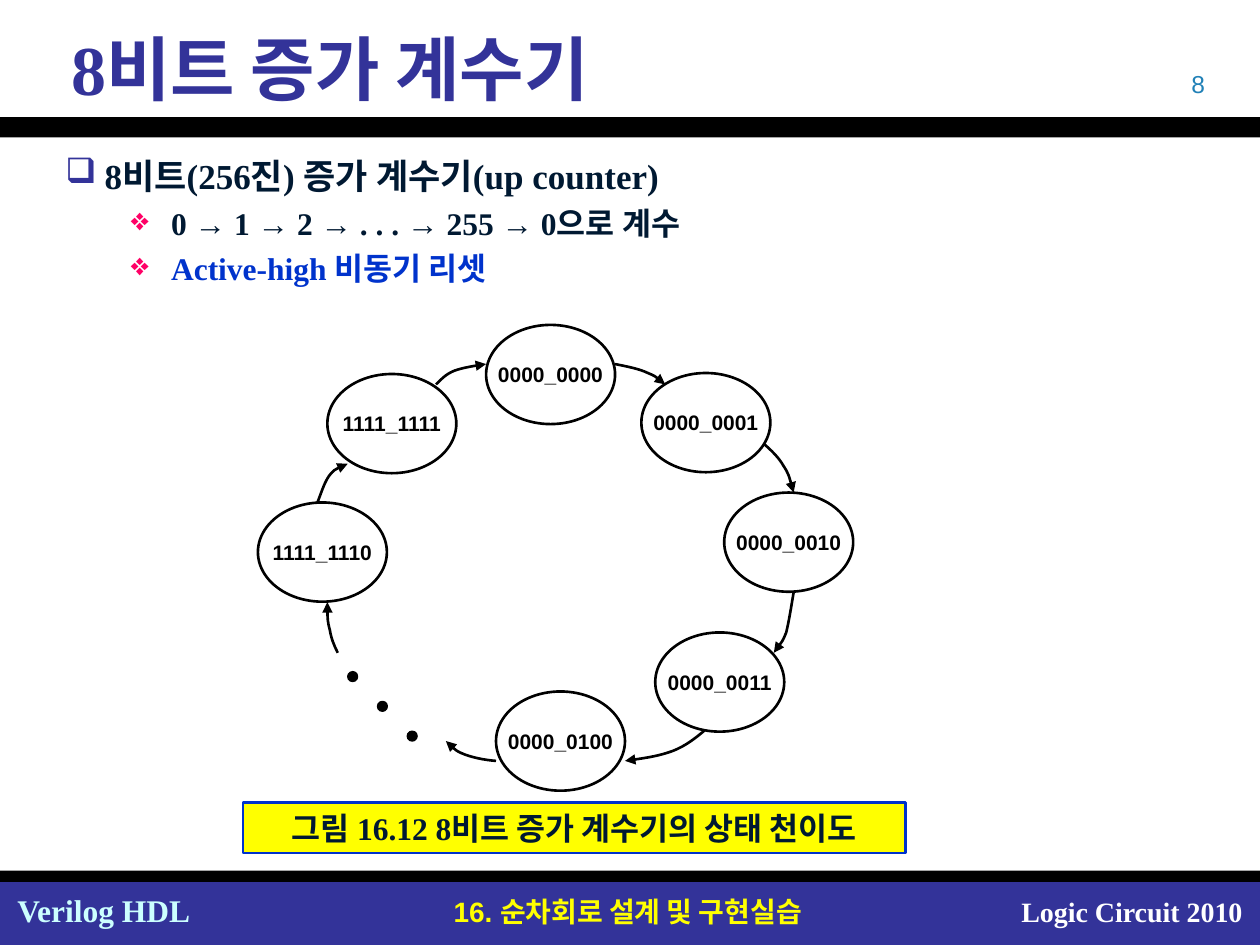
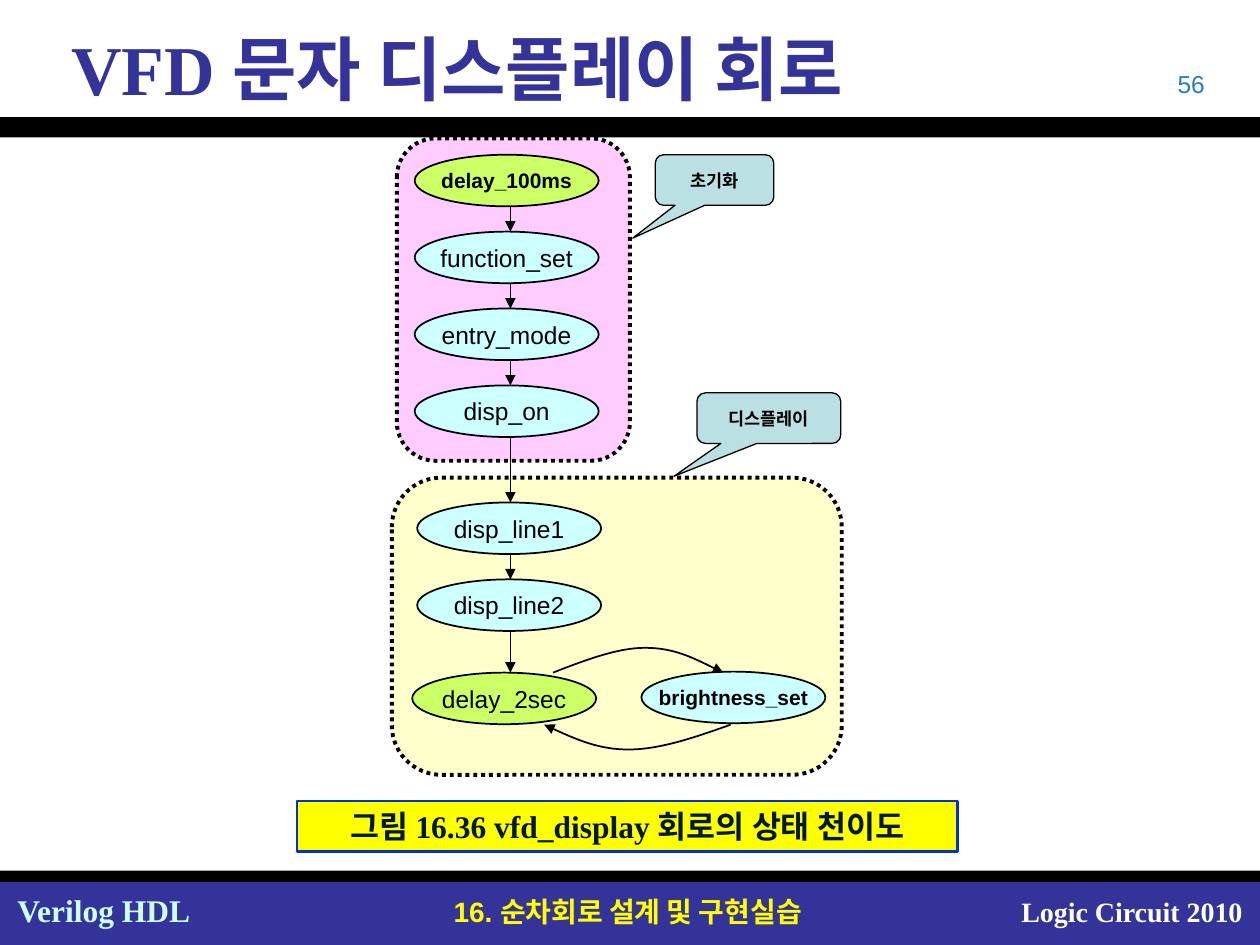
"""Build two lecture slides with state diagrams of an 8-bit counter and a VFD display circuit."""
from lxml import etree
from pptx import Presentation
from pptx.dml.color import RGBColor
from pptx.enum.dml import MSO_LINE
from pptx.enum.shapes import MSO_CONNECTOR, MSO_SHAPE
from pptx.enum.text import MSO_ANCHOR, PP_ALIGN
from pptx.oxml.ns import qn
from pptx.util import Cm, Pt

RECT, OVAL, ROUNDED = MSO_SHAPE.RECTANGLE, MSO_SHAPE.OVAL, MSO_SHAPE.ROUNDED_RECTANGLE
CALLOUT = MSO_SHAPE.ROUNDED_RECTANGULAR_CALLOUT
STRAIGHT = MSO_CONNECTOR.STRAIGHT
DOTTED = MSO_LINE.ROUND_DOT
TOP, MIDDLE = MSO_ANCHOR.TOP, MSO_ANCHOR.MIDDLE
LEFT, CENTER, RIGHT = PP_ALIGN.LEFT, PP_ALIGN.CENTER, PP_ALIGN.RIGHT
color = RGBColor.from_string

SERIF, SANS, KOREAN = "Times New Roman", "Arial", "Noto Sans CJK KR"
BLACK, NAVY, BLUE, INK = "000000", "333399", "0033CC", "001932"
YELLOW, CYAN, LIME, WHITE = "FFFF00", "CCFFFF", "CCFF66", "FFFFFF"

TITLE = {"size": Pt(40), "name": SERIF, "bold": True}
PAGE = {"size": Pt(14), "name": SANS, "bold": False}
CHAPTER = {"size": Pt(16), "name": SANS, "bold": True}
COURSE = {"size": Pt(16), "name": SERIF, "bold": True}
HEADING = {"size": Pt(20), "name": SERIF, "bold": True}
CAPTION = {"size": Pt(18), "name": SERIF, "bold": True}
STATE = {"size": Pt(12), "name": SANS, "bold": True}
STEP = {"size": Pt(14), "name": SANS, "bold": False}
NOTE = {"size": Pt(10), "name": KOREAN, "bold": True}


def draw(slide, kind, box, fill=None, line=None, width=0.75, lines=(),
         ink=BLACK, style=STATE, align=CENTER, anchor=MIDDLE, wrap=True):
    """Add a preset shape, or a text box when kind is None, with its text."""
    box = [Cm(length) for length in box]
    if kind is None:
        shape = slide.shapes.add_textbox(*box)
    else:
        shape = slide.shapes.add_shape(kind, *box)
        shape.shadow.inherit = False
        if fill:
            shape.fill.solid()
            shape.fill.fore_color.rgb = color(fill)
        else:
            shape.fill.background()
        if line:
            shape.line.color.rgb = color(line)
            shape.line.width = Pt(width)
        else:
            shape.line.fill.background()
    frame = shape.text_frame
    frame.word_wrap, frame.vertical_anchor = wrap, anchor
    for index, text in enumerate(lines):
        paragraph = frame.paragraphs[0] if index == 0 else frame.add_paragraph()
        paragraph.alignment = align
        run = paragraph.add_run()
        run.text = text
        for attribute, value in style.items():
            setattr(run.font, attribute, value)
        run.font.color.rgb = color(ink)
        etree.SubElement(run.font._element, qn("a:ea"), typeface=KOREAN)
    return shape


def arrow(slide, points, width):
    """Add an arrow: straight through two points, or a chain of Bezier curves."""
    points = [(Cm(x), Cm(y)) for x, y in points]
    if len(points) == 2:
        shape = slide.shapes.add_connector(STRAIGHT, *points[0], *points[1])
    else:
        builder = slide.shapes.build_freeform(*points[0])
        builder.add_line_segments(points[1:], close=False)
        shape = builder.convert_to_shape()
        shape.fill.background()
        path = shape._element.find(".//" + qn("a:path"))
        corners = path.findall(qn("a:lnTo"))
        for start in range(0, len(corners), 3):
            bezier = etree.SubElement(path, qn("a:cubicBezTo"))
            for corner in corners[start:start + 3]:
                bezier.append(corner[0])
                path.remove(corner)
    shape.line.color.rgb = color(BLACK)
    shape.line.width = Pt(width)
    properties = shape._element.spPr
    etree.SubElement(properties.find(qn("a:ln")), qn("a:tailEnd"), type="triangle")
    etree.SubElement(properties, qn("a:effectLst"))


deck = Presentation()
deck.slide_width, deck.slide_height = Cm(25.4), Cm(19.05)

pages = []
for title, number, caption, caption_box in [
    ("8비트 증가 계수기", "8", "그림 16.12 8비트 증가 계수기의 상태 천이도", (4.9, 16.18, 13.36, 1.02)),
    ("VFD 문자 디스플레이 회로", "56", "그림 16.36 vfd_display 회로의 상태 천이도", (5.99, 16.15, 13.31, 1.02)),
]:
    page = deck.slides.add_slide(deck.slide_layouts[6])
    pages.append(page)
    for top, height, fill in [(17.78, 1.27, NAVY), (2.36, 0.41, BLACK), (17.55, 0.23, BLACK)]:
        draw(page, RECT, (0, top, 25.4, height), fill)
    for text, box, ink, style, align, anchor in [
        ("16. 순차회로 설계 및 구현실습", (7.7, 17.91, 9.91, 0.94), YELLOW, CHAPTER, CENTER, TOP),
        ("Logic Circuit 2010", (18.62, 17.91, 6.68, 0.94), WHITE, COURSE, RIGHT, TOP),
        ("Verilog HDL", (0.1, 17.83, 4.01, 1.02), CYAN, CAPTION, LEFT, TOP),
        (number, (18.62, 1.27, 5.92, 0.84), "2181B7", PAGE, RIGHT, TOP),
        (title, (1.19, 0.53, 23.8, 1.65), NAVY, TITLE, LEFT, MIDDLE),
    ]:
        draw(page, None, box, lines=[text], ink=ink, style=style, align=align, anchor=anchor)
    draw(page, RECT, caption_box, YELLOW, BLUE, 1.5, [caption], INK, CAPTION)

counter, display = pages

summary = draw(counter, None, (1.07, 2.82, 23.5, 3.71), ink=INK, style=HEADING, align=LEFT, anchor=TOP, lines=[
    "8비트(256진) 증가 계수기(up counter)",
    "0 → 1 → 2 → . . . → 255 → 0으로 계수",
    "Active-high 비동기 리셋",
])
for paragraph, (level, margin, hanging, bullet, bullet_ink, size, ink) in zip(summary.text_frame.paragraphs, [
    (0, 0.79, 0.79, "❑", NAVY, 20, INK),
    (1, 2.13, 0.81, "❖", "FF0066", 18, INK),
    (1, 2.13, 0.81, "❖", "FF0066", 18, BLUE),
]):
    paragraph.level, paragraph.line_spacing = level, 1.2
    properties = paragraph._p.get_or_add_pPr()
    properties.set("marL", str(Cm(margin)))
    properties.set("indent", str(-Cm(hanging)))
    bullet_color = etree.SubElement(properties, qn("a:buClr"))
    etree.SubElement(bullet_color, qn("a:srgbClr"), val=bullet_ink)
    etree.SubElement(properties, qn("a:buChar"), char=bullet)
    paragraph.runs[0].font.size = Pt(size)
    paragraph.runs[0].font.color.rgb = color(ink)

for state, left, top in [
    ("0000_0000", 9.8, 6.55), ("0000_0001", 12.93, 7.52), ("0000_0010", 14.6, 9.93),
    ("0000_0011", 13.21, 12.75), ("0000_0100", 10, 13.94),
    ("1111_1110", 5.2, 10.13), ("1111_1111", 6.6, 7.54),
]:
    draw(counter, OVAL, (left, top, 2.6, 2), None, BLACK, 1.5, [state], wrap=False)

for transition in [
    [(12.4, 7.34), (12.65, 7.39), (12.9, 7.44), (13.06, 7.52), (13.23, 7.59), (13.31, 7.67), (13.41, 7.75)],
    [(15.39, 8.94), (15.54, 9.07), (15.7, 9.22), (15.8, 9.4), (15.9, 9.55), (15.95, 9.75), (16, 9.93)],
    [(16, 11.94), (15.95, 12.24), (15.9, 12.55), (15.85, 12.75), (15.77, 12.95), (15.67, 13.06), (15.6, 13.16)],
    [(14.2, 14.73), (14.02, 14.88), (13.82, 15.04), (13.56, 15.14), (13.28, 15.24), (12.95, 15.29), (12.6, 15.34)],
    [(10, 15.34), (9.75, 15.32), (9.53, 15.27), (9.37, 15.21), (9.19, 15.14), (9.09, 15.04), (8.99, 14.94)],
    [(6.81, 13.16), (6.73, 13), (6.68, 12.88), (6.65, 12.7), (6.6, 12.52), (6.6, 12.34), (6.6, 12.14)],
    [(6.4, 10.13), (6.48, 9.93), (6.53, 9.75), (6.63, 9.6), (6.73, 9.47), (6.86, 9.4), (7.01, 9.35)],
    [(8.79, 7.75), (8.89, 7.65), (8.99, 7.54), (9.17, 7.47), (9.32, 7.42), (9.58, 7.37), (9.8, 7.34)],
]:
    arrow(counter, transition, 1.5)

for skipped in range(3):
    draw(counter, OVAL, (7.01 + 0.6 * skipped, 13.54 + 0.6 * skipped, 0.2, 0.2), BLACK, BLACK)

for phase_box, fill in [((7.9, 9.63, 9.07, 5.99), "FFFFCC"), ((8, 2.79, 4.7, 6.5), "FFCCFF")]:
    phase = draw(display, ROUNDED, phase_box, fill, BLACK, 2.25)
    phase.line.dash_style = DOTTED

step_width, step_height = 3.71, 1.04
steps = [
    ("delay_100ms", 8.36, 3.12, LIME, STATE), ("function_set", 8.36, 4.67, CYAN, STEP),
    ("entry_mode", 8.36, 6.22, CYAN, STEP), ("disp_on", 8.36, 7.77, CYAN, STEP),
    ("disp_line1", 8.41, 10.13, CYAN, STEP), ("disp_line2", 8.41, 11.68, CYAN, STEP),
    ("delay_2sec", 8.31, 13.56, LIME, STEP), ("brightness_set", 12.93, 13.54, CYAN, STATE),
]
for step, left, top, fill, style in steps:
    draw(display, OVAL, (left, top, step_width, step_height), fill, BLACK, 1, [step], style=style, wrap=False)

chain = [top for _, _, top, _, _ in steps[:-1]]
for top, next_top in zip(chain, chain[1:]):
    arrow(display, [(10.29, top + step_height), (10.29, next_top)], 1)

for loop in [
    [(11.15, 13.56), (11.79, 13.31), (12.45, 13.06), (13, 13.06), (13.59, 13.06), (14.07, 13.31), (14.58, 13.56)],
    [(14.73, 14.61), (14.02, 14.86), (13.31, 15.11), (12.67, 15.11), (12.07, 15.11), (11.51, 14.86), (10.97, 14.61)],
]:
    arrow(display, loop, 1)

for phase_name, box, pointer in [
    ("초기화", (13.21, 3.12, 2.39, 1.02), -0.69),
    ("디스플레이", (14.05, 7.92, 2.9, 1.02), -0.66),
]:
    note = draw(display, CALLOUT, box, "BBE0E3", BLACK, 0.75, [phase_name], style=NOTE)
    note.adjustments[0], note.adjustments[1] = pointer, 1.15

deck.save("out.pptx")
